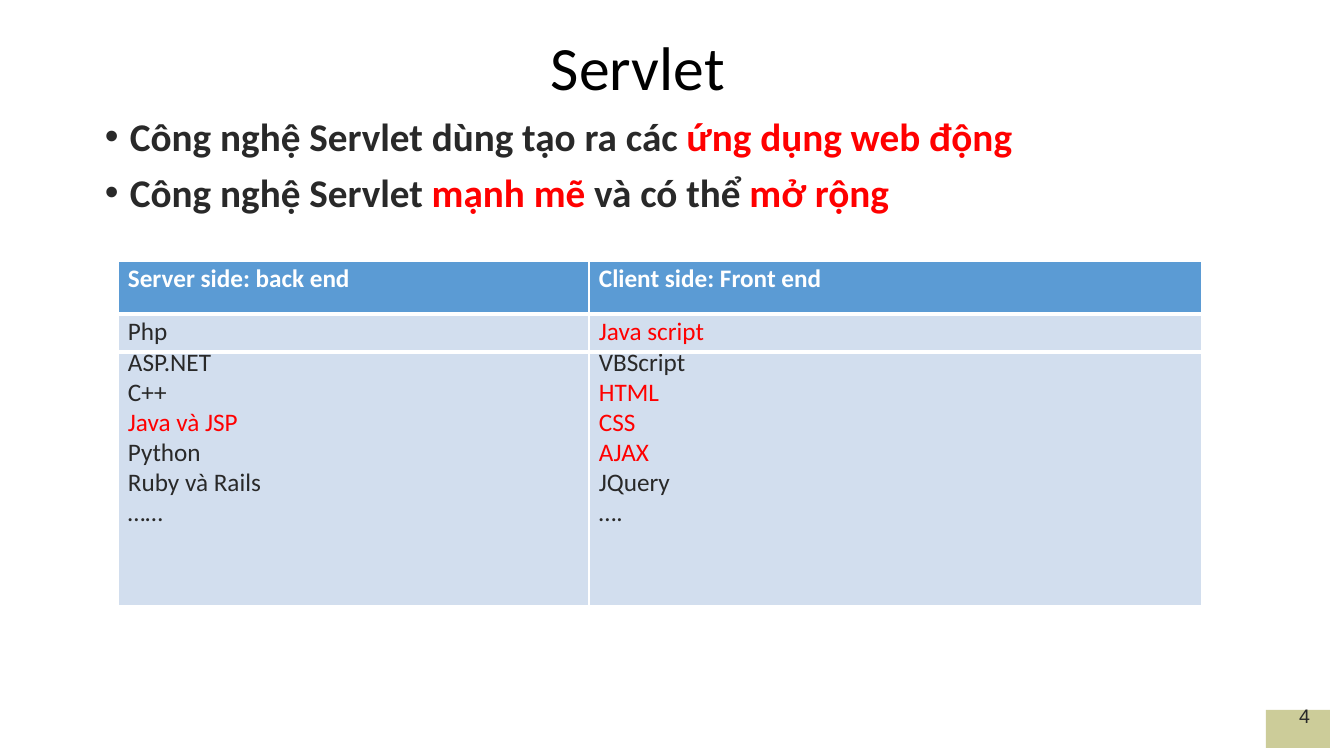
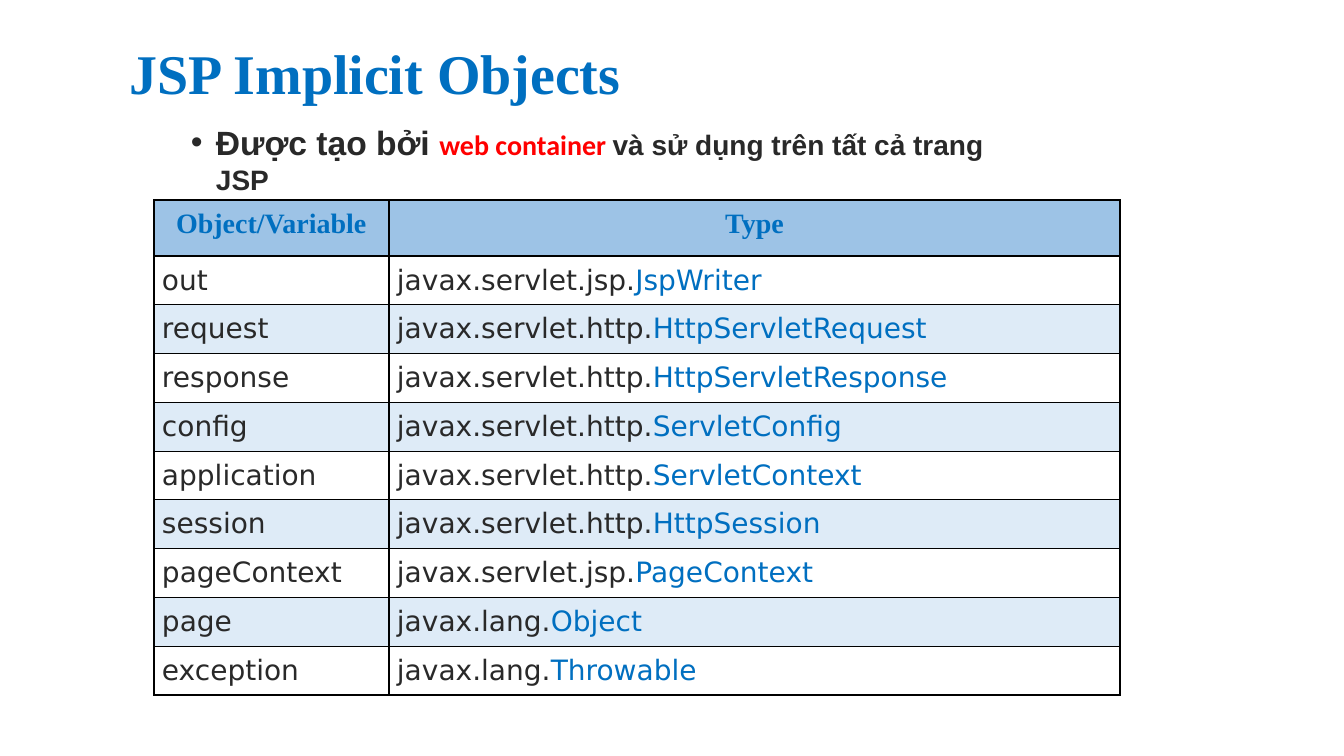
from pptx import Presentation
from pptx.dml.color import RGBColor
from pptx.enum.shapes import MSO_SHAPE as Shape
from pptx.enum.text import MSO_ANCHOR as Anchor, PP_ALIGN as Align
from pptx.oxml.ns import qn
from pptx.util import Emu, Pt
from lxml.etree import SubElement

SCALE = 914400 / 100.8
SLIDE_W, SLIDE_H = 1344, 756
COLORS = {
    "white": "FFFFFF", "black": "000000", "ink": "292929", "red": "FF0000",
    "blue": "006FC0", "header": "5B9BD4", "body": "D2DEEE",
    "sky": "9DC3E6", "pale": "DEEBF7", "khaki": "CCCC99",
}
RED = {"color": "red"}
BLUE = {"color": "blue"}

TITLES = {
    "servlet": {"text": "Servlet", "at": (238, 29, 800, 75),
                "style": {"font": "Calibri", "size": 44, "color": "black"}},
    "objects": {"text": "JSP Implicit Objects", "at": (75, 38, 600, 64),
                "style": {"font": "Times New Roman", "size": 40, "color": "blue", "bold": True}},
}
SERVLET_POINTS = [
    [("Công nghệ Servlet dùng tạo ra các ", {}), ("ứng dụng web động", RED)],
    [("Công nghệ Servlet ", {}), ("mạnh mẽ ", RED), ("và có thể ", {}), ("mở rộng", RED)],
]
SIDES_HEADER = ["Server side: back end", "Client side: Front end"]
SIDES = [
    ("Php", "Java script"),
    ("ASP.NET", "VBScript"),
    ("C++", "HTML"),
    ("Java và JSP", "CSS"),
    ("Python", "AJAX"),
    ("Ruby và Rails", "JQuery"),
    ("……", "…."),
]
HIGHLIGHTS = {"Java script", "HTML", "Java và JSP", "CSS", "AJAX"}
SIDES_COLUMNS = [471, 613]
SIDES_ROWS = [53, 38] + [30] * 5 + [104]

SMALL = {"size": 20}
OBJECT_POINTS = [[
    ("Được tạo bởi ", {}),
    ("web container ", {"font": "Calibri", **SMALL, **RED}),
    ("và sử dụng trên tất cả trang JSP", SMALL),
]]
OBJECTS_HEADER = ["Object/Variable", "Type"]
OBJECTS = [
    ("out", "javax.servlet.jsp.", "JspWriter"),
    ("request", "javax.servlet.http.", "HttpServletRequest"),
    ("response", "javax.servlet.http.", "HttpServletResponse"),
    ("config", "javax.servlet.http.", "ServletConfig"),
    ("application", "javax.servlet.http.", "ServletContext"),
    ("session", "javax.servlet.http.", "HttpSession"),
    ("pageContext", "javax.servlet.jsp.", "PageContext"),
    ("page", "javax.lang.", "Object"),
    ("exception", "javax.lang.", "Throwable"),
]
OBJECTS_COLUMNS = [235, 731]
OBJECTS_ROWS = [56] + [439 / len(OBJECTS)] * len(OBJECTS)


def px(length):
    return Emu(round(length * SCALE))


def rgb(name):
    return RGBColor.from_string(COLORS[name])


def set_font(target, font=None, size=None, color=None, bold=None):
    if font:
        target.name = font
    if size:
        target.size = Pt(size)
    if color:
        target.color.rgb = rgb(color)
    if bold is not None:
        target.bold = bold


def write(para, spans, style, align=Align.LEFT):
    para.alignment = align
    set_font(para.font, **style)
    for text, changes in spans:
        span = para.add_run()
        span.text = text
        set_font(span.font, **changes)


def clear_margins(frame, top=0):
    frame.margin_left = frame.margin_right = frame.margin_bottom = 0
    frame.margin_top = px(top)
    frame.vertical_anchor = Anchor.TOP


def add_box(page, at, top=0):
    frame = page.shapes.add_textbox(*map(px, at)).text_frame
    frame.word_wrap = True
    clear_margins(frame, top)
    return frame


def add_title(page, title):
    frame = add_box(page, title["at"])
    write(frame.paragraphs[0], [(title["text"], {})], title["style"], Align.CENTER)


def add_bullet(para):
    props = para._p.get_or_add_pPr()
    props.set("marL", str(px(26)))
    props.set("indent", str(-px(25)))
    SubElement(props, qn("a:buFont"), typeface="Arial")
    SubElement(props, qn("a:buChar"), char="•")


def add_points(page, at, points, style, top):
    frame = add_box(page, at, top)
    for index, spans in enumerate(points):
        para = frame.add_paragraph() if index else frame.paragraphs[0]
        if index:
            para.space_before = Pt(6.7)
        add_bullet(para)
        write(para, spans, style)


def add_grid(page, left, top, columns, rows):
    frame = page.shapes.add_table(len(rows), len(columns), px(left), px(top),
                                  px(sum(columns)), px(sum(rows)))
    table = frame.table
    table.first_row = table.horz_banding = False
    for column, width in zip(table.columns, columns):
        column.width = px(width)
    for row, height in zip(table.rows, rows):
        row.height = px(height)
    return table


def set_cell(cell, fill, borders, left, top):
    clear_margins(cell, top)
    cell.margin_left = px(left)
    props = cell._tc.get_or_add_tcPr()
    for side in "LRTB":
        color, width = borders.get(side, (None, 0))
        line = SubElement(props, qn(f"a:ln{side}"), w=str(Pt(width)))
        if color:
            solid = SubElement(line, qn("a:solidFill"))
            SubElement(solid, qn("a:srgbClr"), val=COLORS[color])
        else:
            SubElement(line, qn("a:noFill"))
    if fill:
        cell.fill.solid()
        cell.fill.fore_color.rgb = rgb(fill)
    else:
        cell.fill.background()


def add_sides_table(page):
    table = add_grid(page, 118, 261, SIDES_COLUMNS, SIDES_ROWS)
    thin, thick = ("white", 1), ("white", 3)
    below = {0: thick, 1: thick, len(SIDES): thin}
    above = {0: thin, 1: thick, 2: thick}
    for r, texts in enumerate([SIDES_HEADER] + SIDES):
        borders = {"L": thin, "R": thin}
        if r in above:
            borders["T"] = above[r]
        if r in below:
            borders["B"] = below[r]
        for c, text in enumerate(texts):
            cell = table.cell(r, c)
            set_cell(cell, "body" if r else "header", borders, 10, 3 if r < 2 else 0)
            para = cell.text_frame.paragraphs[0]
            if r > 1:
                para.line_spacing = Pt(18.9)
            color = "red" if text in HIGHLIGHTS else "ink" if r else "white"
            style = {"font": "Calibri", "size": 18, "color": color, "bold": r == 0}
            write(para, [(text, {})], style)


def add_objects_table(page):
    table = add_grid(page, 154, 200, OBJECTS_COLUMNS, OBJECTS_ROWS)
    borders = {side: ("black", 1) for side in "LRTB"}
    head = {"font": "Times New Roman", "size": 20, "color": "blue", "bold": True}
    body = {"font": "DejaVu Sans", "size": 20, "color": "ink", "bold": False}
    for c, text in enumerate(OBJECTS_HEADER):
        cell = table.cell(0, c)
        set_cell(cell, "sky", borders, 0 if c else 22, 8)
        align = Align.CENTER if c else Align.LEFT
        write(cell.text_frame.paragraphs[0], [(text, {})], head, align)
    for r, (variable, package_name, class_name) in enumerate(OBJECTS, 1):
        row_spans = [[(variable, {})], [(package_name, {}), (class_name, BLUE)]]
        for c, spans in enumerate(row_spans):
            cell = table.cell(r, c)
            set_cell(cell, None if r % 2 else "pale", borders, 8, 8)
            write(cell.text_frame.paragraphs[0], spans, body)


def add_page_number(page, number):
    badge = page.shapes.add_shape(Shape.RECTANGLE, *map(px, (1266, 710, 64, 38)))
    badge.shadow.inherit = False
    badge.fill.solid()
    badge.fill.fore_color.rgb = rgb("khaki")
    badge.line.fill.background()
    clear_margins(badge.text_frame)
    badge.text_frame.margin_left = px(13)
    para = badge.text_frame.paragraphs[0]
    para.line_spacing = Pt(12.4)
    write(para, [(number, {})], {"font": "Arial", "size": 14, "color": "ink"}, Align.CENTER)


def main():
    deck = Presentation()
    deck.slide_width, deck.slide_height = px(SLIDE_W), px(SLIDE_H)
    blank = deck.slide_layouts[6]

    page = deck.slides.add_slide(blank)
    add_title(page, TITLES["servlet"])
    add_page_number(page, "4")
    add_points(page, (104, 101, 1055, 116), SERVLET_POINTS,
               {"font": "Calibri", "size": 28, "color": "ink", "bold": True}, 11)
    add_sides_table(page)

    page = deck.slides.add_slide(blank)
    add_title(page, TITLES["objects"])
    add_points(page, (190, 121, 808, 78), OBJECT_POINTS,
               {"font": "Arial", "size": 24, "color": "ink", "bold": True}, 1)
    add_objects_table(page)

    deck.save("out.pptx")


if __name__ == "__main__":
    main()
